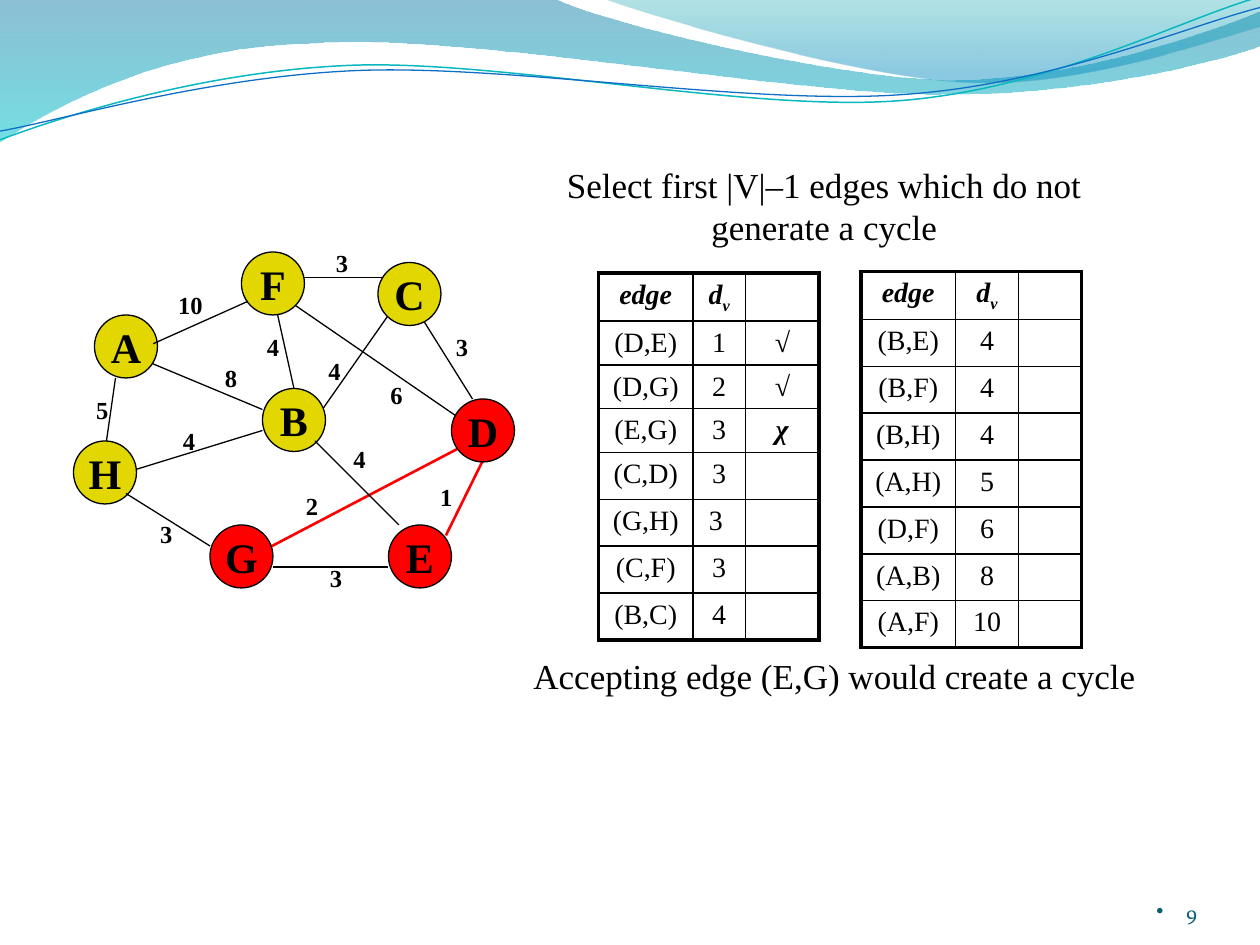
import lxml.etree
import pptx
import pptx.dml.color
import pptx.enum.shapes
import pptx.enum.text
import pptx.oxml.ns
import pptx.util

Pt = pptx.util.Pt
RGB = pptx.dml.color.RGBColor
ALIGN = pptx.enum.text.PP_ALIGN
ANCHOR = pptx.enum.text.MSO_ANCHOR
qn = pptx.oxml.ns.qn

BLACK = RGB(0x00, 0x00, 0x00)
RED = RGB(0xFF, 0x00, 0x00)
YELLOW = RGB(0xE2, 0xD7, 0x00)
PAGE_NUMBER = RGB(0x04, 0x5D, 0x75)
TEAL_LINE = RGB(0x0A, 0xB8, 0xBF)
BLUE_LINE = RGB(0x0F, 0x6F, 0xC6)

# Waves: a start point, then line ends (2 numbers) or Bezier curves (6 numbers).
# Gradient stops: position, colour, opacity in percent.
WAVES = [
    ([(0, 0), (316.8, -0.72), (342.7, 12.2, 478.1, 45.4, 545.8, 45.4),
      (614.2, 45.4, 689.8, 18.7, 720, 6.5), (720.7, 25.9),
      (707.8, 31.7, 626.4, 54.7, 537.1, 54), (447.8, 54, 275, 20.2, 185, 24.5),
      (92.9, 25.9, 33.1, 59.8, -0.7, 81.4)],
     [(0, RGB(0x00, 0x74, 0xA1), 45), (1, RGB(0x00, 0xC6, 0xCF), 55)]),
    ([(344.9, -0.7), (366.5, 7.9, 491, 44.6, 553.7, 46.8),
      (616.3, 49.7, 691.9, 23, 720, 15.1), (720, 0)],
     [(0, RGB(0x00, 0xA1, 0xA9), 30), (0.8, RGB(0x00, 0x8B, 0xBF), 45)]),
]
WAVE_LINES = [
    ([(0, 79.9), (34.6, 67, 113.8, 41, 199.4, 37.4),
      (284.4, 33.8, 427, 64.1, 513.4, 57.6),
      (599.8, 51.1, 675.4, 10.8, 718.6, -1.4)], TEAL_LINE, 0.85),
    ([(0, 74.9), (33.8, 69.1, 118.1, 43.9, 203.8, 40.3),
      (290.2, 36.7, 429.8, 60.5, 516.2, 54),
      (601.9, 48.2, 677.5, 15.1, 720, 4.3)], BLUE_LINE, 0.75),
]

NODES = {"A": (54, 180), "H": (42, 252), "B": (150, 222), "F": (138, 144),
         "E": (222, 300), "D": (258, 228), "C": (216, 150), "G": (120, 300)}
REACHED = "DEG"

# Edge: line ends, weight, label left, top and width.
EDGES = {
    "HA": ((60, 258, 66, 216), "5", (46.4, 222, 24)),
    "DE": ((284.4, 246, 254.8, 306), "1", (236.3, 271.8, 37.5)),
    "FB": ((156, 168, 168, 222), "4", (144, 186, 24)),
    "BC": ((180, 240, 222, 180), "4", (179.2, 199.7, 24)),
    "DF": ((264, 240, 168, 174), "6", (208, 213.4, 37)),
    "HB": ((72, 270, 150, 246), "4", (96, 240, 24)),
    "GD": ((144, 318, 270, 252), "2", (166.3, 277, 24)),
    "AB": ((78, 204, 150, 234), "8", (120, 204, 24)),
    "FC": ((171, 158.5, 219.5, 158.5), "3", (183.5, 138, 24)),
    "CD": ((240, 180, 270, 228), "3", (252, 186, 24)),
    "BE": ((180, 252, 228, 300), "4", (186.7, 250.3, 37.5)),
    "EG": ((222, 324, 156, 324), "3", (180, 318, 24)),
    "GH": ((120, 312, 72, 282), "3", (83, 293, 24)),
    "AF": ((87.6, 196.4, 141.7, 172.2), "10", (90, 162, 37.5)),
}
ACCEPTED = {"DE", "GD"}
ABOVE_NODES = {"BE", "EG", "GH", "AF"}

LEFT_ROWS = [("(D,E)", "1", "√"), ("(D,G)", "2", "√"), ("(E,G)", "3", "χ"),
             ("(C,D)", "3", ""), ("(G,H)", "3 ", ""), ("(C,F)", "3", ""),
             ("(B,C)", "4", "")]
RIGHT_ROWS = [(f"({edge})", weight, "") for edge, weight in (
    ("B,E", "4"), ("B,F", "4"), ("B,H", "4"), ("A,H", "5"), ("D,F", "6"),
    ("A,B", "8"), ("A,F", "10"))]


def add_span(para, text, size=20, bold=False, italic=False, color=BLACK,
             font="Times New Roman", baseline=0):
    """Append formatted text to a paragraph."""
    span = para.add_run()
    span.text = text
    span.font.size, span.font.name = Pt(size), font
    span.font.bold, span.font.italic = bold, italic
    span.font.color.rgb = color
    if baseline:
        span.font._element.set("baseline", str(baseline * 1000))


class Page:
    """Holds the current slide and draws elements in its style."""

    def __init__(self, slide):
        """Keep the slide and its shapes."""
        self.slide, self.shapes = slide, slide.shapes

    def text(self, text, left, top, width, height, box=None, align=ALIGN.CENTER,
             anchor=ANCHOR.TOP, inset=None, **style):
        """Write text in a new box or in a given placeholder."""
        place = [Pt(value) for value in (left, top, width, height)]
        if box is None:
            box = self.shapes.add_textbox(*place)
        box.left, box.top, box.width, box.height = place
        frame = box.text_frame
        frame.word_wrap, frame.vertical_anchor = True, anchor
        frame.auto_size = pptx.enum.text.MSO_AUTO_SIZE.NONE
        if inset is not None:
            frame.margin_left = frame.margin_right = Pt(inset)
            frame.margin_top = frame.margin_bottom = Pt(inset)
        para = frame.paragraphs[0]
        para.alignment = align
        add_span(para, text, **style)
        return para

    def outline(self, steps, closed):
        """Draw an outline of lines and Bezier curves."""
        points = [(Pt(step[i]), Pt(step[i + 1]))
                  for step in steps for i in range(0, len(step), 2)]
        builder = self.shapes.build_freeform(*points[0], scale=1.0)
        builder.add_line_segments(points[1:], close=closed)
        shape = builder.convert_to_shape()
        shape.shadow.inherit = False
        segments = iter(list(shape.element.iter(qn("a:lnTo"))))
        for step in steps[1:]:
            parts = [next(segments) for _ in range(len(step) // 2)]
            if len(parts) == 3:
                curve = lxml.etree.Element(qn("a:cubicBezTo"))
                parts[0].addprevious(curve)
                for part in parts:
                    curve.append(part[0])
                    part.getparent().remove(part)
        return shape

    def wave(self, steps, stops):
        """Draw a wave with a translucent gradient running downwards."""
        shape = self.outline(steps, True)
        shape.line.fill.background()
        shape.fill.gradient()
        shape.fill.gradient_angle = 270
        for stop, (position, color, _) in zip(shape.fill.gradient_stops, stops):
            stop.position, stop.color.rgb = position, color
        tints = shape.element.spPr.iter(qn("a:srgbClr"))
        for tint, (_, _, opacity) in zip(tints, stops):
            lxml.etree.SubElement(tint, qn("a:alpha"), val=str(opacity * 1000))

    def wave_line(self, steps, color, width):
        """Draw an open curve."""
        shape = self.outline(steps, False)
        shape.fill.background()
        shape.line.color.rgb, shape.line.width = color, Pt(width)

    def edge(self, ends, accepted):
        """Draw a graph edge, red when it is accepted."""
        line = self.shapes.add_connector(pptx.enum.shapes.MSO_CONNECTOR.STRAIGHT,
                                         *[Pt(value) for value in ends])
        line.line.color.rgb = RED if accepted else BLACK
        line.line.width = Pt(1.5 if accepted else 0.75)
        lxml.etree.SubElement(line.element.spPr, qn("a:effectLst"))

    def node(self, name, left, top):
        """Draw a graph node."""
        circle = self.shapes.add_shape(pptx.enum.shapes.MSO_SHAPE.OVAL,
                                       Pt(left), Pt(top), Pt(36), Pt(36))
        circle.shadow.inherit = False
        circle.fill.solid()
        circle.fill.fore_color.rgb = RED if name in REACHED else YELLOW
        circle.line.color.rgb, circle.line.width = BLACK, Pt(0.75)
        frame = circle.text_frame
        frame.word_wrap, frame.vertical_anchor = False, ANCHOR.MIDDLE
        frame.paragraphs[0].alignment = ALIGN.CENTER
        add_span(frame.paragraphs[0], name, size=24, bold=True)

    def borders(self, cell, heavy):
        """Frame a cell; heavy flags the left, right, top and bottom sides."""
        cell.fill.background()
        props = cell._tc.get_or_add_tcPr()
        for place, (side, thick) in enumerate(zip("LRTB", heavy)):
            line = lxml.etree.Element(qn("a:ln" + side), w=str(Pt(2.25 if thick else 1)))
            fill = lxml.etree.SubElement(line, qn("a:solidFill"))
            lxml.etree.SubElement(fill, qn("a:srgbClr"), val=str(BLACK))
            props.insert(place, line)

    def edge_table(self, left, top, widths, rows):
        """Draw a table of edges, weights and verdicts."""
        rows = [("edge", "d", "")] + rows
        holder = self.shapes.add_table(len(rows), 3, Pt(left), Pt(top),
                                       Pt(sum(widths)), Pt(211))
        table = holder.table
        table.first_row = table.horz_banding = False
        for column, width in zip(table.columns, widths):
            column.width = Pt(width)
        for r, row in enumerate(rows):
            table.rows[r].height = Pt(16)
            for c, text in enumerate(row):
                cell = table.cell(r, c)
                para = cell.text_frame.paragraphs[0]
                para.alignment = ALIGN.CENTER
                strong = r == 0 or c == 2
                if text:
                    add_span(para, text, size=16, bold=strong, italic=strong)
                else:
                    lxml.etree.SubElement(para._p, qn("a:endParaRPr"), sz="1600")
                if text == "d":
                    add_span(para, "v", size=16, bold=True, italic=True, baseline=-25)
                self.borders(cell, (c == 0, c == 2, r == 0, r == len(rows) - 1))
        holder.height = Pt(211)

    def page_number(self, number):
        """Write the bulleted page number."""
        para = self.text(number, 624, 500.4, 60, 28.8, align=ALIGN.RIGHT, inset=0,
                         anchor=ANCHOR.BOTTOM, size=12, font="Vollkorn", color=PAGE_NUMBER)
        props = para._p.get_or_add_pPr()
        props.set("marL", str(Pt(17)))
        props.set("indent", str(-Pt(17)))
        lxml.etree.SubElement(props, qn("a:buChar"), char="•")


def main():
    """Build the slide and save it."""
    deck = pptx.Presentation()
    deck.slide_width, deck.slide_height = Pt(720), Pt(540)
    page = Page(deck.slides.add_slide(deck.slide_layouts[5]))
    for wave in WAVES:
        page.wave(*wave)
    for wave_line in WAVE_LINES:
        page.wave_line(*wave_line)
    page.text("Select first |V|–1 edges which do not generate a cycle",
              312, 90, 318, 55.5, box=page.shapes.title)
    page.edge_table(342, 156, (54, 30, 42), LEFT_ROWS)
    for name, (ends, _, _) in EDGES.items():
        if name not in ABOVE_NODES:
            page.edge(ends, name in ACCEPTED)
    for name, place in NODES.items():
        page.node(name, *place)
    for name in EDGES:
        if name in ABOVE_NODES:
            page.edge(EDGES[name][0], False)
    for _, weight, place in EDGES.values():
        page.text(weight, *place, 24, size=14, bold=True)
    page.edge_table(492, 155, (54, 36, 36), RIGHT_ROWS)
    page.text("Accepting edge (E,G) would create a cycle", 294, 370.6, 366, 31)
    page.page_number("9")
    deck.save("out.pptx")


main()
